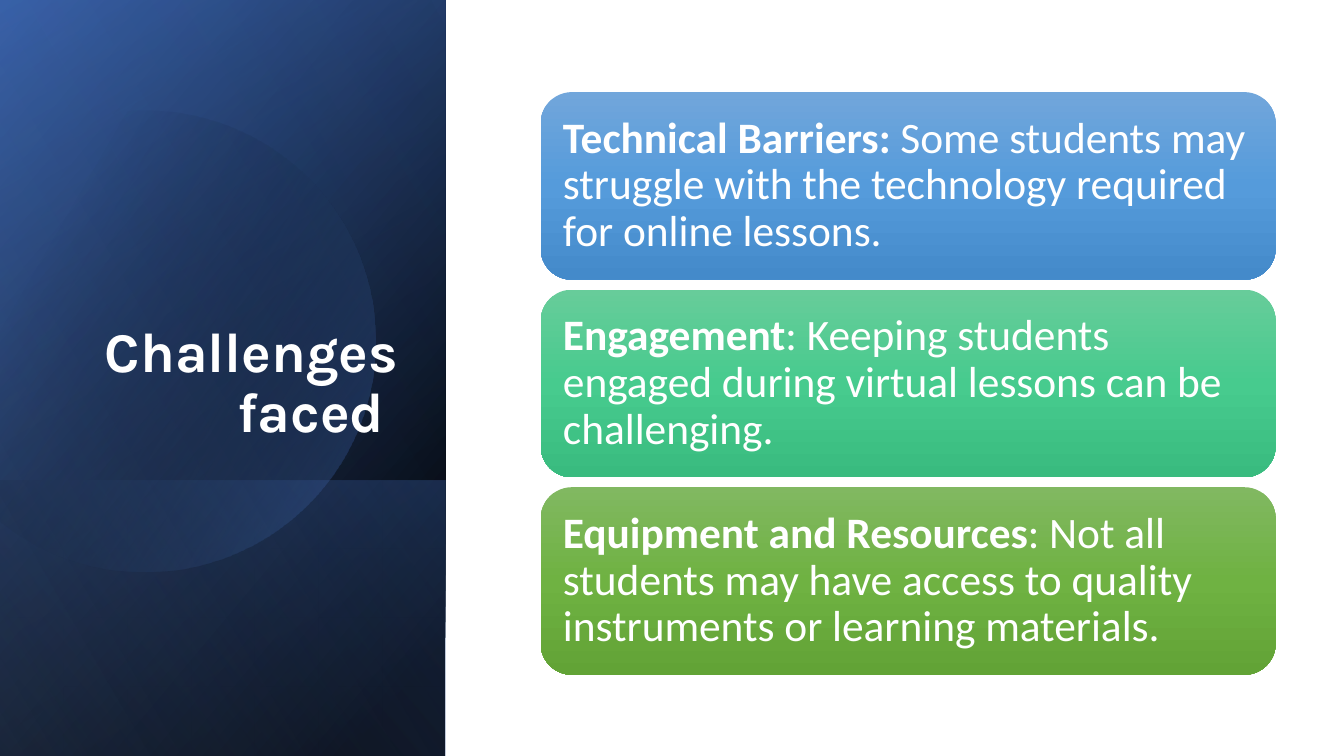
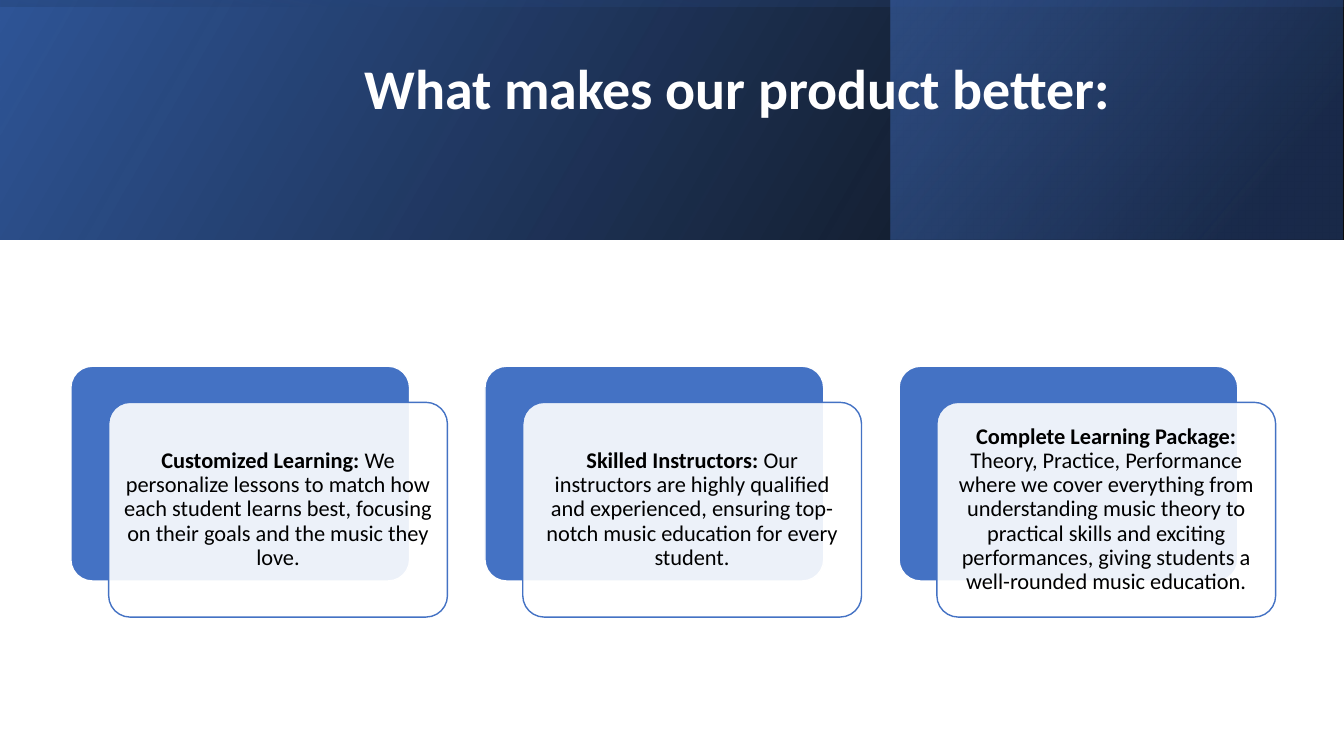
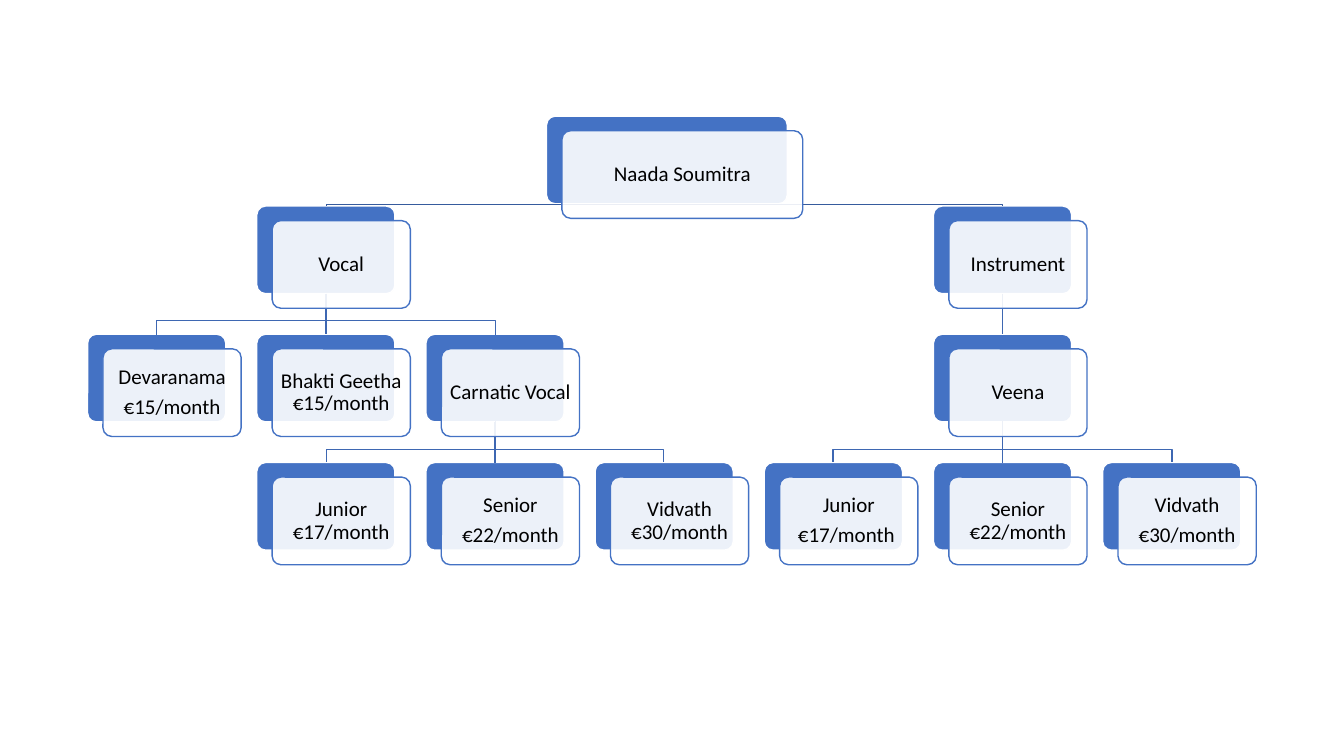
from pptx import Presentation, oxml
from pptx.dml import color
from pptx.enum import shapes, text
from pptx.oxml import ns
from pptx.util import Pt

COLORS = {
    "white": "FFFFFF", "black": "000000", "blue": "4472C4", "navy": "2F5597",
    "deep": "203864", "pale": "8FAADC", "branch": "3E67B2", "trunk": "365B9D",
}
WIDTH, HEIGHT = 960, 540
BODY_FONT = "Calibri"
PANEL_W = 318.2
BAND_H = 171

CHALLENGES = [
    (("71A6DB", "559BDB", "448ACA"), "Technical Barriers:",
     " Some students may struggle with the technology required for online lessons."),
    (("67CC9A", "47CB8E", "39BB7F"), "Engagement",
     ": Keeping students engaged during virtual lessons can be challenging."),
    (("81B861", "6FB242", "62A336"), "Equipment and Resources",
     ": Not all students may have access to quality instruments or learning materials."),
]
BENEFITS = [
    ("Customized Learning: ",
     "We personalize lessons to match how each student learns best, focusing on "
     "their goals and the music they love."),
    ("Skilled Instructors: ",
     "Our instructors are highly qualified and experienced, ensuring top-notch "
     "music education for every student."),
    ("Complete Learning Package: ",
     "Theory, Practice, Performance where we cover everything from understanding "
     "music theory to practical skills and exciting performances, giving students "
     "a well-rounded music education."),
]
COURSES = [
    ("vocal", 1, 1, ["Vocal"]),
    ("devaranama", 0, 2, ["Devaranama", "€15/month"]),
    ("bhakti", 1, 2, ["Bhakti Geetha\n€15/month"]),
    ("carnatic", 2, 2, ["Carnatic Vocal"]),
    ("vocal junior", 1, 3, ["Junior\n€17/month"]),
    ("vocal senior", 2, 3, ["Senior", "€22/month"]),
    ("vocal vidvath", 3, 3, ["Vidvath\n€30/month"]),
    ("instrument", 5, 1, ["Instrument"]),
    ("veena", 5, 2, ["Veena"]),
    ("veena junior", 4, 3, ["Junior", "€17/month "]),
    ("veena senior", 5, 3, ["Senior\n€22/month"]),
    ("veena vidvath", 6, 3, ["Vidvath", "€30/month"]),
]
BRANCHES = {
    "school": ["vocal", "instrument"],
    "vocal": ["devaranama", "bhakti", "carnatic"],
    "carnatic": ["vocal junior", "vocal senior", "vocal vidvath"],
    "instrument": ["veena"],
    "veena": ["veena junior", "veena senior", "veena vidvath"],
}


def rgb(name):
    return color.RGBColor.from_string(COLORS[name])


def set_gradient(sp, stops, angle):
    stop_xml = "".join(
        f'<a:gs pos="{pos * 1000}"><a:srgbClr val="{COLORS.get(c, c)}">'
        f'<a:alpha val="{alpha * 1000}"/></a:srgbClr></a:gs>'
        for pos, c, alpha in stops)
    grad = oxml.parse_xml(
        f'<a:gradFill {ns.nsdecls("a")} rotWithShape="1"><a:gsLst>{stop_xml}</a:gsLst>'
        f'<a:lin ang="{angle * 60000}" scaled="0"/></a:gradFill>')
    sp.fill.background()
    sp_pr = sp.element.spPr
    sp_pr.replace(sp_pr.find(ns.qn("a:noFill")), grad)
    sp.line.fill.background()
    sp.shadow.inherit = False


def add_shade(s, box, stops, angle, rotation=0):
    x, y, w, h = box
    cx, cy = x + w / 2, y + h / 2
    if rotation:
        w, h = h, w
    sp = s.shapes.add_shape(shapes.MSO_SHAPE.RECTANGLE,
                            Pt(cx - w / 2), Pt(cy - h / 2), Pt(w), Pt(h))
    sp.rotation = rotation
    sp.element.spPr.xfrm.set("flipH", "1")
    set_gradient(sp, stops, angle)


def add_disc(s, cx, cy, radius, cut, stops, angle):
    sp = s.shapes.add_shape(shapes.MSO_SHAPE.CHORD, Pt(cx - radius), Pt(cy - radius),
                            Pt(2 * radius), Pt(2 * radius))
    sp.adjustments[0] = (360 - cut) * 0.6
    sp.adjustments[1] = cut * 0.6
    set_gradient(sp, stops, angle)


def write(sp, paragraphs, size, ink, align, inset=None, font=BODY_FONT,
          anchor=text.MSO_ANCHOR.MIDDLE):
    tf = sp.text_frame
    tf.word_wrap = True
    tf.vertical_anchor = anchor
    if inset is not None:
        tf.margin_left = tf.margin_right = tf.margin_top = tf.margin_bottom = Pt(inset)
    for i, runs in enumerate(paragraphs):
        p = tf.add_paragraph() if i else tf.paragraphs[0]
        p.alignment = align
        p.line_spacing = 0.9
        if i:
            p.space_before = Pt(0.35 * size)
        for words, bold in runs:
            for j, line in enumerate(words.split("\n")):
                if j:
                    p.add_line_break()
                r = p.add_run()
                r.text = line
                r.font.name = font
                r.font.size = Pt(size)
                r.font.bold = bold
                r.font.color.rgb = rgb(ink)


def add_title(s, box, words, align, **style):
    sp = s.shapes.add_textbox(*map(Pt, box))
    write(sp, [[(words, True)]], 40, "white", align, **style)


def add_rounded(s, box):
    sp = s.shapes.add_shape(shapes.MSO_SHAPE.ROUNDED_RECTANGLE, *map(Pt, box))
    sp.shadow.inherit = False
    return sp


def add_card(s, box, fill, line, alpha=100):
    sp = add_rounded(s, box)
    sp.adjustments[0] = 0.1
    sp.fill.solid()
    sp.fill.fore_color.rgb = rgb(fill)
    if alpha < 100:
        clr = sp.element.spPr.find(".//" + ns.qn("a:srgbClr"))
        clr.append(oxml.parse_xml(f'<a:alpha {ns.nsdecls("a")} val="{alpha * 1000}"/>'))
    sp.line.color.rgb = rgb(line)
    sp.line.width = Pt(1)
    return sp


def add_back(s, box):
    return add_card(s, box, "blue", "white")


def add_front(s, box, shift, paragraphs, size, inset):
    x, y, w, h = box
    sp = add_card(s, (x + shift[0], y + shift[1], w, h), "white", "blue", 90)
    write(sp, paragraphs, size, "black", text.PP_ALIGN.CENTER, inset)


def set_line(sp, ink):
    sp.line.color.rgb = rgb(ink)
    sp.line.width = Pt(1)


def add_drop(s, parent, child, ink):
    cn = s.shapes.add_connector(shapes.MSO_CONNECTOR.STRAIGHT, 0, 0, 0, 0)
    cn.begin_connect(parent, 2)
    cn.end_connect(child, 0)
    set_line(cn, ink)
    cn.element.spPr.append(oxml.parse_xml(f'<a:effectLst {ns.nsdecls("a")}/>'))


def add_bend(s, points, ink):
    builder = s.shapes.build_freeform(*points[0], scale=Pt(1))
    builder.add_line_segments(points[1:], close=False)
    sp = builder.convert_to_shape()
    sp.fill.background()
    sp.shadow.inherit = False
    set_line(sp, ink)


def add_branch(s, parent, child, boxes, backs):
    ink = "trunk" if parent == "school" else "branch"
    (px, py, pw, ph), (cx, cy, cw, _) = boxes[parent], boxes[child]
    start, end = px + pw / 2, cx + cw / 2
    bottom = py + ph
    if abs(start - end) < 1:
        add_drop(s, backs[parent], backs[child], ink)
        return
    bar = max(bottom, cy - 9.4)
    points = [(start, bottom), (start, bar), (end, bar), (end, cy)]
    add_bend(s, points[bar == bottom:], ink)


def build_challenges(s):
    panel = (0, 0, PANEL_W, HEIGHT)
    add_shade(s, panel, [(8, "black", 100), (100, "navy", 100)], 50, 90)
    add_shade(s, panel, [(0, "black", 0), (99, "blue", 46)], 30, 90)
    add_shade(s, (0, 343, PANEL_W, HEIGHT - 343),
              [(2, "blue", 29), (100, "black", 30)], 130, 90)
    add_disc(s, 103.5, 243.5, 164.7, 129, [(29, "black", 0), (100, "blue", 43)], 30)
    add_shade(s, panel, [(0, "black", 0), (99, "pale", 11)], 120, 90)
    add_title(s, (46, 132.7, 245.5, 188.6), "Challenges faced ", text.PP_ALIGN.RIGHT,
              font="Karla", anchor=text.MSO_ANCHOR.BOTTOM)
    for i, (shades, lead, rest) in enumerate(CHALLENGES):
        sp = add_rounded(s, (386.2, 65.8 + 141.1 * i, 525, 134))
        set_gradient(sp, [(50 * j, c, 100) for j, c in enumerate(shades)], 90)
        write(sp, [[(lead, True), (rest, False)]], 31, "white", text.PP_ALIGN.LEFT, 9.4)


def build_benefits(s):
    band = (0, 0, WIDTH, BAND_H)
    add_shade(s, band, [(0, "black", 96), (100, "navy", 100)], 330)
    add_shade(s, (636.5, 0, 322.6, BAND_H), [(19, "deep", 68), (100, "blue", 48)], 320)
    add_shade(s, band, [(23, "navy", 16), (99, "black", 45)], 350, 270)
    add_title(s, (253.2, 25.2, 621, 80), "What makes our product better:",
              text.PP_ALIGN.LEFT)
    for i, (lead, rest) in enumerate(BENEFITS):
        box = (50.6 + 295.8 * i, 261.6, 242, 153.4)
        add_back(s, box)
        add_front(s, box, (27, 25.8), [[(lead, True), (rest, False)]], 16, 5)


def build_courses(s):
    row_tops = [83, 147.2, 238.8, 330.4]
    card_h = 62.6
    boxes = {"school": (390.4, row_tops[0], 172, card_h)}
    labels = {"school": ["Naada Soumitra"]}
    for key, col, row, lines in COURSES:
        boxes[key] = (62.6 + 120.84 * col, row_tops[row], 98.7, card_h)
        labels[key] = lines
    backs = {key: add_back(s, box) for key, box in boxes.items()}
    for parent, children in BRANCHES.items():
        for child in children:
            add_branch(s, parent, child, boxes, backs)
    for key, box in boxes.items():
        add_front(s, box, (11, 10.4), [[(line, False)] for line in labels[key]], 15, 4.3)


def main():
    prs = Presentation()
    prs.slide_width, prs.slide_height = Pt(WIDTH), Pt(HEIGHT)
    for build in (build_challenges, build_benefits, build_courses):
        build(prs.slides.add_slide(prs.slide_layouts[6]))
    prs.save("out.pptx")


if __name__ == "__main__":
    main()
